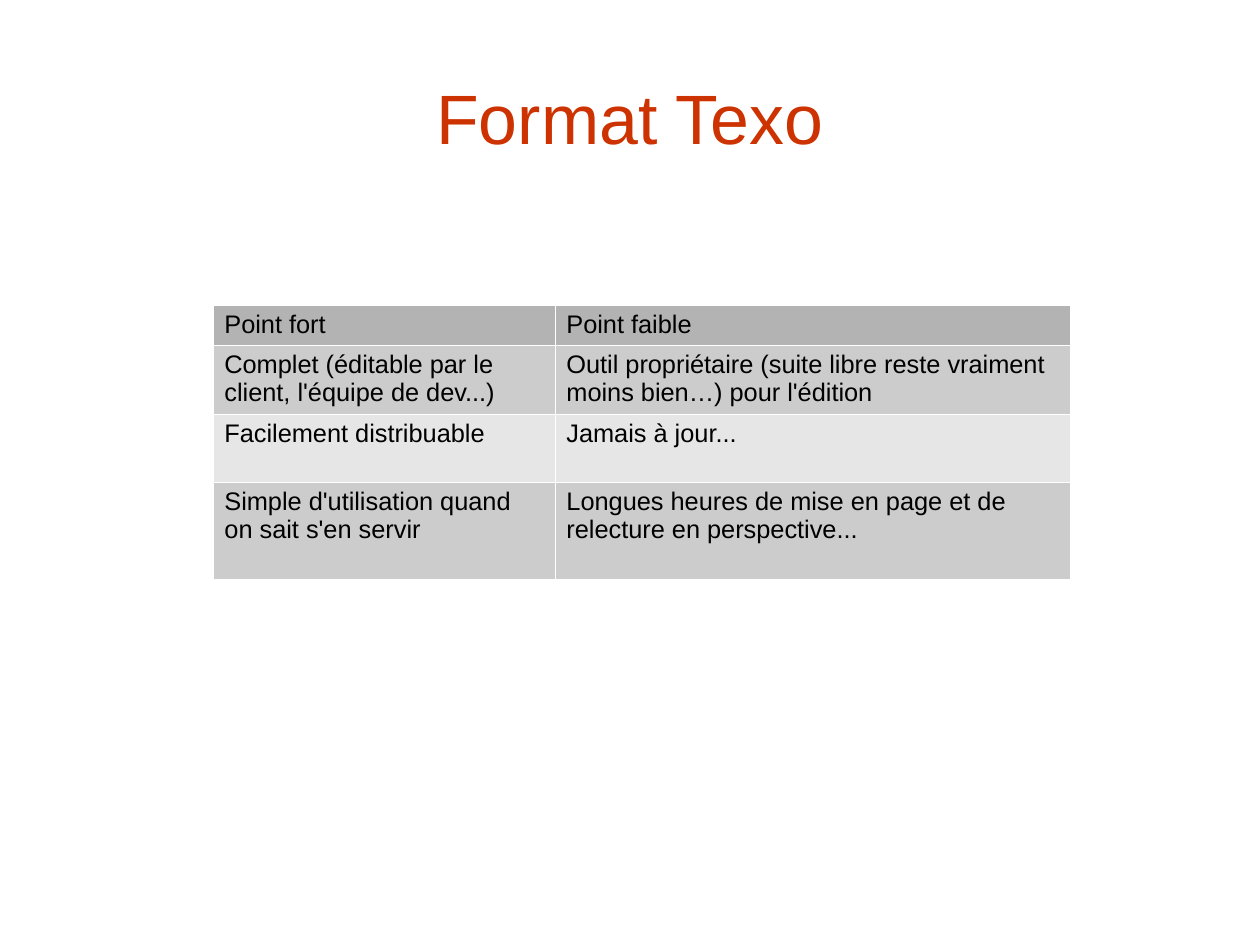
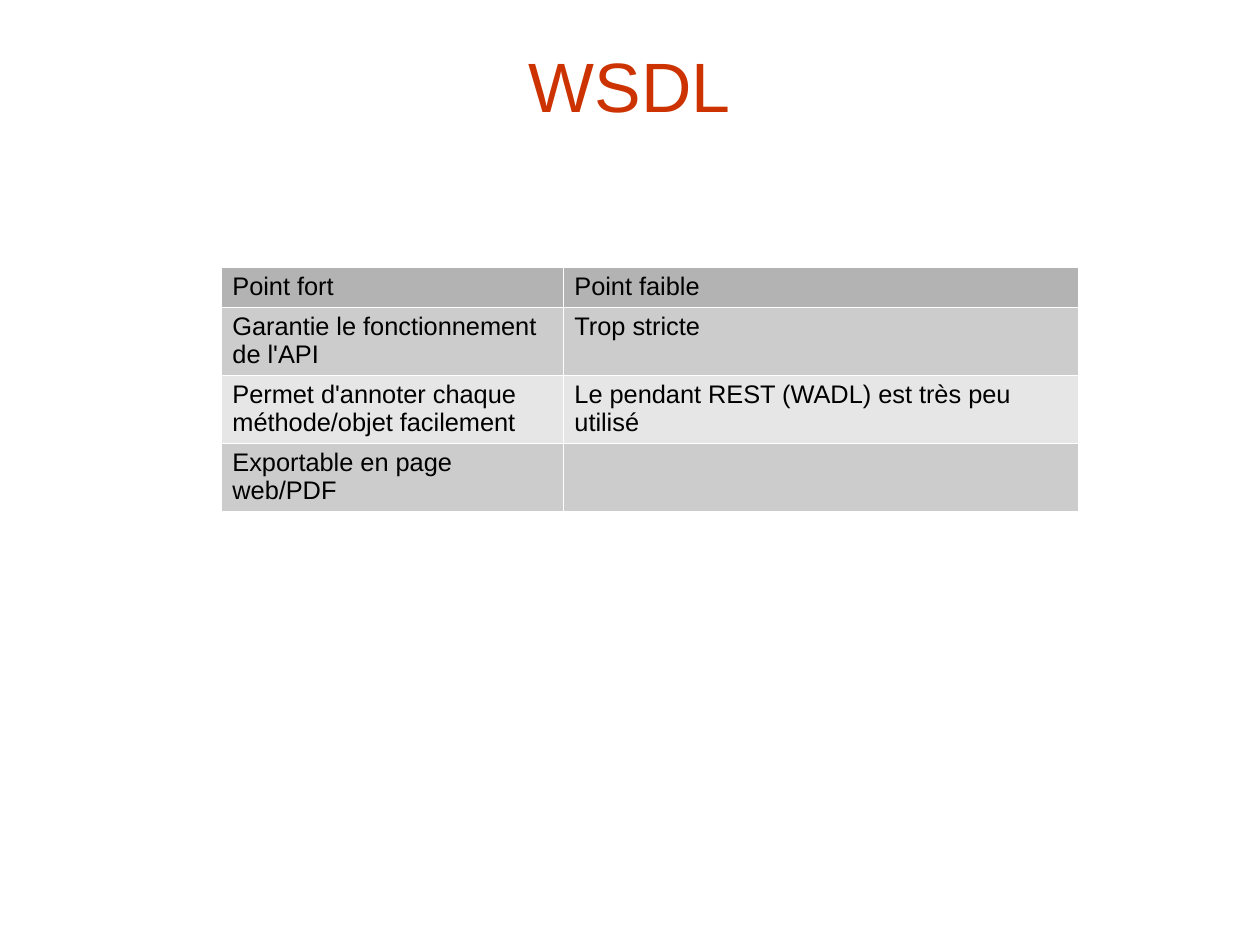
import pptx
import pptx.dml.color
import pptx.enum.text
import pptx.oxml.ns
import pptx.util
from lxml import etree

PX = 8000  # EMU in one px
SIZE = (1260, 945)
COLS = (342, 515)
INK = {"title": "CC3300", "text": "000000", "head": "B3B3B3",
       "odd": "CCCCCC", "even": "E6E6E6", "rule": "FFFFFF"}
FONTS = {
    "title": {"name": "Arial", "size": pptx.util.Pt(44), "bold": False},
    "text": {"name": "Arial", "size": pptx.util.Pt(16), "bold": False},
}
FRAME = {
    "margin_left": 0, "margin_right": 0, "margin_top": 0, "margin_bottom": 0,
    "word_wrap": True,
    "auto_size": pptx.enum.text.MSO_AUTO_SIZE.NONE,
    "vertical_anchor": pptx.enum.text.MSO_ANCHOR.MIDDLE,
}
HEAD = ("Point fort", "Point faible")
PAGES = [
    {"title": "Format Texo", "top": 38, "grid": (213, 305),
     "rows": (40, 69, 68, 97),
     "cells": [
         HEAD,
         ("Complet (éditable par le client, l'équipe de dev...)",
          "Outil propriétaire (suite libre reste vraiment moins bien…) "
          "pour l'édition"),
         ("Facilement distribuable", "Jamais à jour..."),
         ("Simple d'utilisation quand on sait s'en servir",
          "Longues heures de mise en page et de relecture en "
          "perspective..."),
     ]},
    {"title": "WSDL", "top": 6, "grid": (221, 267),
     "rows": (39, 68, 68, 68),
     "cells": [
         HEAD,
         ("Garantie le fonctionnement de l'API", "Trop stricte"),
         ("Permet d'annoter chaque méthode/objet facilement",
          "Le pendant REST (WADL) est très peu utilisé"),
         ("Exportable en page web/PDF", ""),
     ]},
]


def px(*vals):
    return [pptx.util.Emu(val * PX) for val in vals]


def apply(item, vals):
    for key, val in vals.items():
        setattr(item, key, val)


def tint(fmt, key):
    fmt.rgb = pptx.dml.color.RGBColor.from_string(INK[key])


def style(font, key):
    apply(font, FONTS[key])
    tint(font.color, key)


def edge(cell):
    """Draw a hairline on all four sides of the cell."""
    props = cell._tc.get_or_add_tcPr()
    qn = pptx.oxml.ns.qn
    for spot, side in enumerate(("lnL", "lnR", "lnT", "lnB")):
        line = etree.Element(qn("a:" + side), w="762")
        fill = etree.SubElement(line, qn("a:solidFill"))
        etree.SubElement(fill, qn("a:srgbClr"), val=INK["rule"])
        props.insert(spot, line)


def title(slide, text, box):
    shape = slide.shapes.title
    apply(shape, dict(zip(("left", "top", "width", "height"), px(*box))))
    frame = shape.text_frame
    apply(frame, FRAME)
    frame.text = text
    para = frame.paragraphs[0]
    para.alignment = pptx.enum.text.PP_ALIGN.CENTER
    style(para.runs[0].font, "title")


def grid(slide, cells, rows, left, top):
    shape = slide.shapes.add_table(
        len(rows), len(COLS), *px(left, top, sum(COLS), sum(rows)))
    table = shape.table
    apply(table, {"first_row": False, "horz_banding": False})
    for col, wide in zip(table.columns, COLS):
        col.width = px(wide)[0]
    for r, (row, high) in enumerate(zip(table.rows, rows)):
        row.height = px(high)[0]
        band = "head" if r == 0 else "odd" if r % 2 else "even"
        for cell, text in zip(row.cells, cells[r]):
            cell.text = text
            style(cell.text_frame.paragraphs[0].font, "text")
            for run in cell.text_frame.paragraphs[0].runs:
                style(run.font, "text")
            cell.fill.solid()
            tint(cell.fill.fore_color, band)
            edge(cell)


def main():
    deck = pptx.Presentation()
    deck.slide_width, deck.slide_height = px(*SIZE)
    for page in PAGES:
        slide = deck.slides.add_slide(deck.slide_layouts[5])
        title(slide, page["title"], (63, page["top"], 1134, 158))
        grid(slide, page["cells"], page["rows"], *page["grid"])
    deck.save("out.pptx")


if __name__ == "__main__":
    main()
